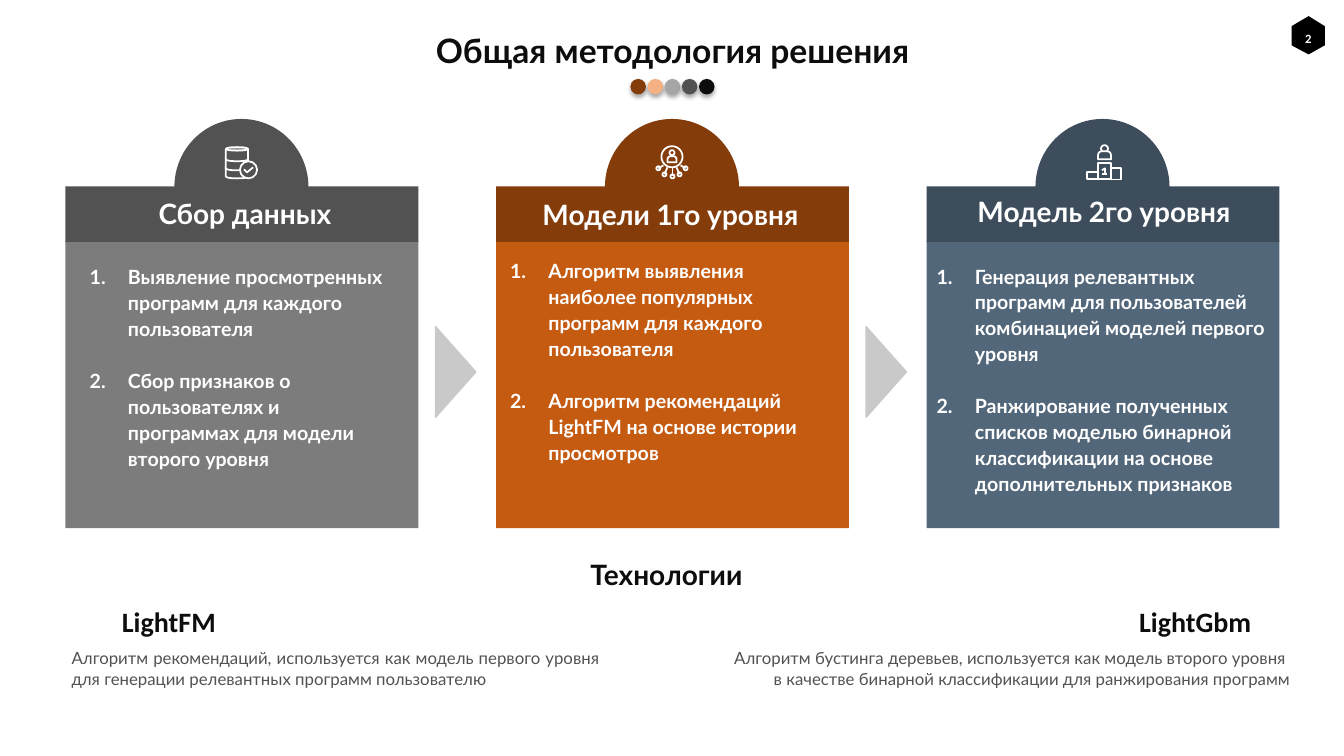
"""Builds the slide on the overall method: three linked stages and their technologies."""
from lxml import etree
from pptx import Presentation
from pptx.dml.color import RGBColor
from pptx.enum.shapes import MSO_SHAPE
from pptx.enum.text import PP_ALIGN
from pptx.oxml.ns import qn
from pptx.util import Inches, Pt

RECT, OVAL, CAN = MSO_SHAPE.RECTANGLE, MSO_SHAPE.OVAL, MSO_SHAPE.CAN
BUST = MSO_SHAPE.ROUND_2_SAME_RECTANGLE
LEFT, CENTER, RIGHT, JUSTIFY = PP_ALIGN.LEFT, PP_ALIGN.CENTER, PP_ALIGN.RIGHT, PP_ALIGN.JUSTIFY

THEME = {
    "font": "Lato", "latin_font": "Calibri",
    "title": 24, "heading": 20, "list": 14, "note": 12, "number": 9,
    "ink": "0D0D0D", "muted": "525252", "white": "FFFFFF", "black": "000000", "arrow": "C9C9C9",
    "dots": ["843C0B", "F4B183", "A5A5A5", "525252", "0D0D0D"],
}
TITLE = "Общая методология решения"
PAGE_NUMBER = "2"
TECHNOLOGIES = "Технологии"

DATABASE_ICON = {
    "shapes": [(CAN, 1.59, top, 0.22, 0.14) for top in (1.63, 1.55, 1.46)]
    + [(OVAL, 1.73, 1.6, 0.17, 0.17)],
    "strokes": [[(1.77, 1.68), (1.8, 1.71), (1.86, 1.66)]],
}
NETWORK_NODES = [(1.61, 1.67), (1.67, 1.73), (1.75, 1.75), (1.82, 1.73), (1.88, 1.67)]
NETWORK_HUB = [(1.66, 1.64), (1.7, 1.66), (1.75, 1.67), (1.79, 1.66), (1.83, 1.64)]
NETWORK_ICON = {
    "shapes": [(OVAL, 1.64, 1.45, 0.21, 0.21), (OVAL, 1.72, 1.49, 0.05, 0.05),
               (BUST, 1.7, 1.55, 0.09, 0.06)]
    + [(OVAL, x - 0.02, y - 0.02, 0.04, 0.04) for x, y in NETWORK_NODES],
    "strokes": [list(spoke) for spoke in zip(NETWORK_HUB, NETWORK_NODES)],
}
PODIUM_ICON = {
    "shapes": [(OVAL, 1.73, 1.44, 0.07, 0.07), (BUST, 1.7, 1.5, 0.13, 0.08),
               (RECT, 1.59, 1.71, 0.11, 0.07), (RECT, 1.7, 1.62, 0.13, 0.16),
               (RECT, 1.83, 1.67, 0.1, 0.11)],
    "strokes": [[(1.74, 1.69), (1.77, 1.67), (1.77, 1.73)], [(1.74, 1.73), (1.79, 1.73)]],
}
STAGES = [
    {"heading": "Сбор данных", "heading_box": (0.79, 1.95, 3.28, 0.34),
     "dark": "525252", "body": "7C7C7C", "list_box": (0.83, 2.55, 3.13, 2.43),
     "icon": DATABASE_ICON,
     "steps": ["Выявление просмотренных программ для каждого пользователя",
               "Сбор признаков о пользователях и программах для модели второго уровня"]},
    {"heading": "Модели 1го уровня", "heading_box": (5.01, 1.96, 3.28, 0.34),
     "dark": "843C0B", "body": "C55A11", "list_box": (5, 2.49, 3.33, 2.17),
     "icon": NETWORK_ICON,
     "steps": ["Алгоритм выявления наиболее популярных программ для каждого пользователя",
               "Алгоритм рекомендаций LightFM на основе истории просмотров"]},
    {"heading": "Модель 2го уровня", "heading_box": (9.31, 1.93, 3.28, 0.34),
     "dark": "3E4D5C", "body": "53677B", "list_box": (9.23, 2.54, 3.4, 2.43),
     "icon": PODIUM_ICON,
     "steps": ["Генерация релевантных программ для пользователей комбинацией моделей первого уровня",
               "Ранжирование полученных списков моделью бинарной классификации на основе "
               "дополнительных признаков"]},
]
TOOLS = [
    {"name": "LightFM", "name_box": (1.1, 5.94, 1.14, 0.44),
     "note_box": (0.65, 6.37, 5.36, 0.53), "align": JUSTIFY,
     "note": ["Алгоритм рекомендаций, используется как модель первого уровня "
              "для генерации релевантных программ пользователю"]},
    {"name": "LightGbm", "name_box": (11.12, 5.94, 1.39, 0.44),
     "note_box": (7.18, 6.37, 5.68, 0.53), "align": RIGHT,
     "note": ["Алгоритм бустинга деревьев, используется как модель второго уровня ",
              "в качестве бинарной классификации для ранжирования программ"]},
]
STAGE_LEFT, STAGE_PITCH, STAGE_WIDTH = 0.65, 4.27, 3.5
ARROW_OFFSET, ARROW_WIDTH, ARROW_TOP, ARROW_HEIGHT = 3.67, 0.4, 3.24, 0.9
DOT_LEFT, DOT_TOP, DOT_PITCH, DOT_SIZE = 6.26, 0.79, 0.17, 0.14
BADGE = [(12.81, 0.26), (12.98, 0.16), (13.14, 0.26), (13.14, 0.45), (12.98, 0.54), (12.81, 0.45)]


def paint(shape, fill=None, line=None, weight=1):
    shape.shadow.inherit = False
    if fill:
        shape.fill.solid()
        shape.fill.fore_color.rgb = RGBColor.from_string(fill)
    else:
        shape.fill.background()
    if line:
        shape.line.color.rgb = RGBColor.from_string(line)
        shape.line.width = Pt(weight)
    else:
        shape.line.fill.background()
    return shape


def add_preset(page, kind, box, fill=None, line=None, weight=1):
    shape = page.shapes.add_shape(kind, *map(Inches, box))
    return paint(shape, fill, line, weight)


def add_outline(page, points, fill=None, line=None, weight=1, close=True):
    corners = [(Inches(x), Inches(y)) for x, y in points]
    builder = page.shapes.build_freeform(*corners[0])
    builder.add_line_segments(corners[1:], close=close)
    return paint(builder.convert_to_shape(), fill, line, weight)


def add_text(page, box, lines, size, color, align=LEFT, bold=True, font="font",
             inset=0.06, wrap=True, spacing=None):
    frame = page.shapes.add_textbox(*map(Inches, box)).text_frame
    frame.word_wrap = wrap
    frame.margin_left = frame.margin_right = Inches(inset)
    frame.margin_top = frame.margin_bottom = Inches(min(inset, 0.06))
    frame.text = "\n".join(lines)
    for para in frame.paragraphs:
        para.alignment = align
        para.line_spacing = spacing
        para.font.name = THEME[font]
        para.font.size = Pt(THEME[size])
        para.font.bold = bold
        para.font.color.rgb = RGBColor.from_string(THEME[color])
    return frame


def number_steps(frame):
    for position, para in enumerate(frame.paragraphs):
        para.space_before = Pt(18.5 if position else 0)
        properties = para._p.get_or_add_pPr()
        properties.set("marL", str(Inches(0.38)))
        properties.set("indent", str(Inches(-0.38)))
        numbering = etree.Element(qn("a:buAutoNum"), type="arabicPeriod")
        properties.find(qn("a:defRPr")).addprevious(numbering)


def add_soft_shadow(shape):
    effects = shape._element.spPr.find(qn("a:effectLst"))
    shadow = etree.SubElement(effects, qn("a:outerShdw"), blurRad=str(Pt(3)),
                              dist=str(Pt(1.8)), dir="5400000", rotWithShape="0")
    color = etree.SubElement(shadow, qn("a:srgbClr"), val=THEME["black"])
    etree.SubElement(color, qn("a:alpha"), val="35000")


def add_icon(page, icon, left, fill):
    for kind, x, y, width, height in icon["shapes"]:
        part = add_preset(page, kind, (left + x, y, width, height), fill, THEME["white"], 1.25)
        if kind == BUST:
            part.adjustments[0] = 0.5
    for stroke in icon["strokes"]:
        points = [(left + x, y) for x, y in stroke]
        add_outline(page, points, line=THEME["white"], weight=1.25, close=False)


def add_stage(page, stage, left):
    add_preset(page, OVAL, (left + 1.08, 1.18, 1.33, 1.35), stage["dark"])
    add_preset(page, RECT, (left, 2.39, STAGE_WIDTH, 2.85), stage["body"])
    add_preset(page, RECT, (left, 1.85, STAGE_WIDTH, 0.55), stage["dark"])
    add_icon(page, stage["icon"], left, stage["dark"])
    add_text(page, stage["heading_box"], [stage["heading"]], "heading", "white", CENTER, inset=0)
    number_steps(add_text(page, stage["list_box"], stage["steps"], "list", "white", spacing=1.1))


def main():
    deck = Presentation()
    deck.slide_width, deck.slide_height = Inches(13.33), Inches(7.5)
    page = deck.slides.add_slide(deck.slide_layouts[6])

    add_outline(page, BADGE, THEME["black"])
    add_text(page, (12.8, 0.25, 0.35, 0.25), [PAGE_NUMBER], "number", "white", CENTER,
             font="latin_font", inset=0.1, wrap=False)
    add_text(page, (1.07, 0.28, 11.2, 0.49), [TITLE], "title", "ink", CENTER,
             inset=0.1, spacing=0.9)
    for position, color in enumerate(THEME["dots"]):
        box = (DOT_LEFT + position * DOT_PITCH, DOT_TOP, DOT_SIZE, DOT_SIZE)
        add_soft_shadow(add_preset(page, OVAL, box, color, color))

    for position, stage in enumerate(STAGES):
        left = STAGE_LEFT + position * STAGE_PITCH
        add_stage(page, stage, left)
        if position < len(STAGES) - 1:
            start = left + ARROW_OFFSET
            points = [(start, ARROW_TOP), (start + ARROW_WIDTH, ARROW_TOP + ARROW_HEIGHT / 2),
                      (start, ARROW_TOP + ARROW_HEIGHT)]
            add_outline(page, points, THEME["arrow"], THEME["arrow"])

    add_text(page, (3.88, 5.47, 5.46, 0.46), [TECHNOLOGIES], "heading", "ink", CENTER)
    for tool in TOOLS:
        add_text(page, tool["name_box"], [tool["name"]], "heading", "ink", RIGHT,
                 font="latin_font", inset=0.1, wrap=False)
        add_text(page, tool["note_box"], tool["note"], "note", "muted", tool["align"], bold=False)
    deck.save("out.pptx")


if __name__ == "__main__":
    main()
